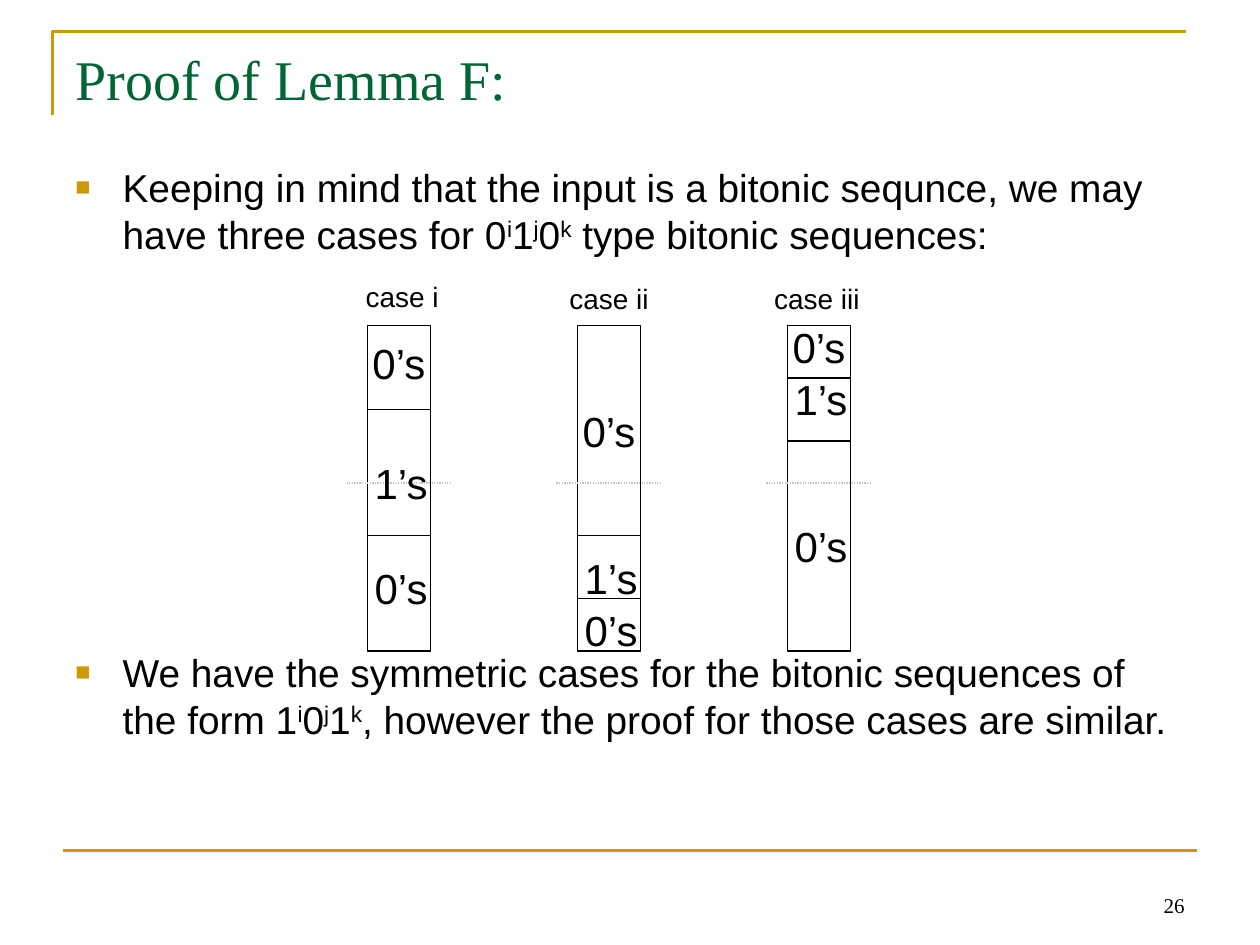
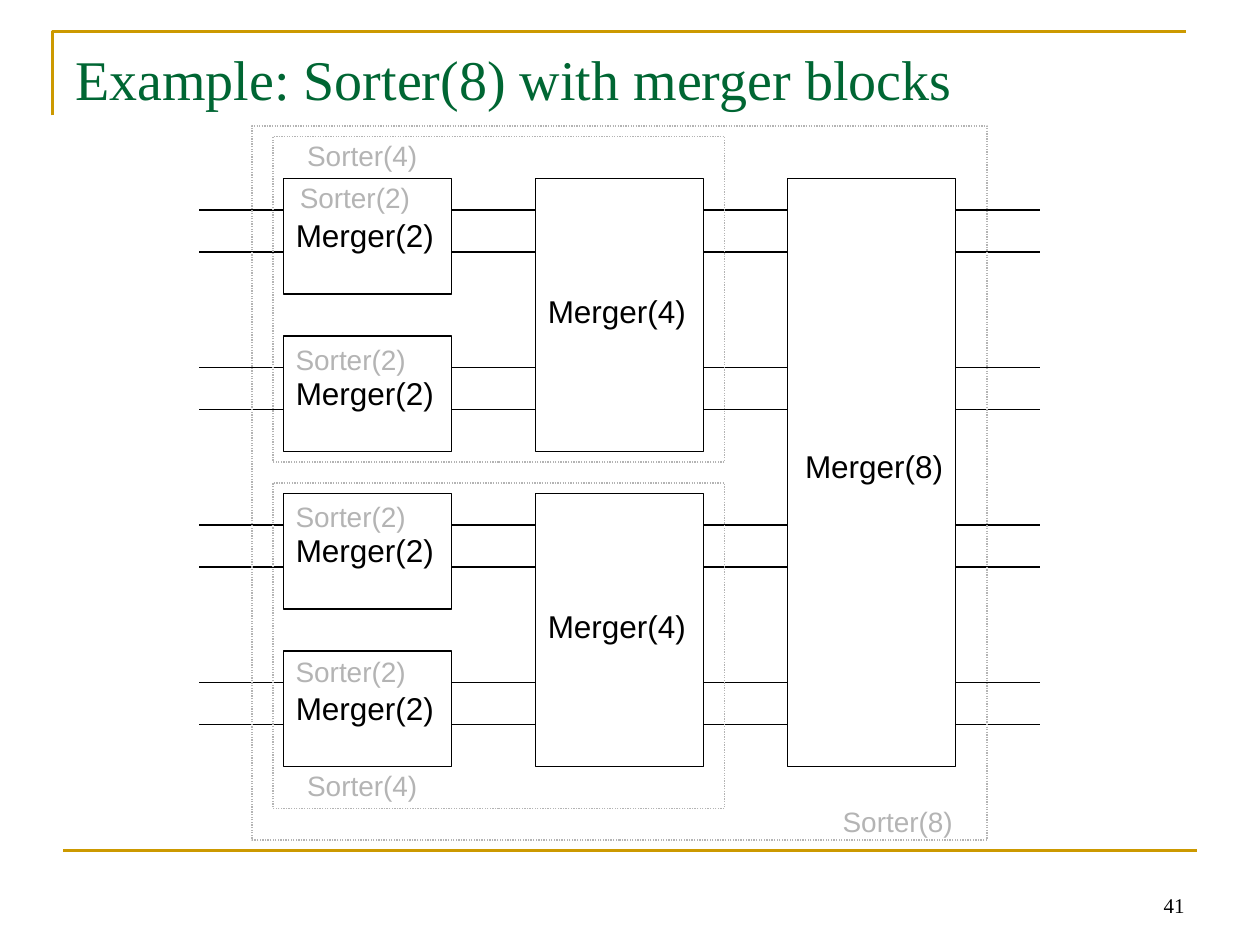
from lxml import etree
from pptx import Presentation
from pptx import util as u
from pptx.dml.color import RGBColor
from pptx.enum import dml, shapes, text
from pptx.oxml.ns import qn

PX = 7620  # EMU; 120 px to the inch
COLORS = {"gold": "CC9900", "green": "006633", "black": "000000",
          "label": "B4B4B4", "middle": "C0C0C0"}
SANS, SERIF = "Arial", "Times New Roman"

# Segments alternate between plain and raised text.
BULLETS = [
    (150, ["Keeping in mind that the input is a bitonic sequnce, we may have three cases for 0",
           "i", "1", "j", "0", "k", " type bitonic sequences:"]),
    (612, ["We have the symmetric cases for the bitonic sequences of the form 1",
           "i", "0", "j", "1", "k", ", however the proof for those cases are similar."]),
]
# name, name centre and top, divider heights, tops of the part labels
CASES = [
    ("case i", 383, 260, (390, 510), (316, 430, 530)),
    ("case ii", 580, 262, (510, 570), (380, 520, 570)),
    ("case iii", 778, 262, (360, 420), (300, 350, 490)),
]
PARTS = ("0’s", "1’s", "0’s")
BAR_LEFT, BAR_STEP, BAR_TOP, BAR_WIDTH, BAR_HEIGHT = 350, 200, 310, 60, 310
MIDDLE = 460

# inputs, block height, block step, label left offset, label top offset
MERGERS = [(2, 110, 150, 0, 30), (4, 260, 300, 0, 102), (8, 560, 600, 5, 250)]
MERGER_LEFT, MERGER_STEP, MERGER_TOP, MERGER_WIDTH = 270, 240, 170, 160
WIRE_LENGTH = MERGER_STEP - MERGER_WIDTH
WIRE_ROWS = [200 + 150 * pair + offset for pair in range(4) for offset in (0, 40)]
SORTER_BOXES = [(260, 460, 430, 310), (260, 130, 430, 310), (240, 120, 700, 680)]
SORTER_LABELS = [  # inputs, left, top
    (2, 274, 166), (2, 270, 320), (2, 270, 470), (2, 270, 617),
    (4, 281, 726), (4, 281, 126), (8, 791, 760),
]


def px(*lengths):
    return [u.Emu(length * PX) for length in lengths]


def rgb(color):
    return RGBColor.from_string(COLORS[color])


def set_font(paragraph, size, name, color):
    font = paragraph.font
    font.size, font.name = u.Pt(size), name
    font.color.rgb = rgb(color)


def set_line(shape, color, width, dotted=False):
    shape.line.color.rgb = rgb(color)
    shape.line.width = u.Pt(width)
    if dotted:
        shape.line.dash_style = dml.MSO_LINE.ROUND_DOT


def add_text(slide, box, words, size, name=SANS, color="black",
             align=text.PP_ALIGN.LEFT, anchor=text.MSO_ANCHOR.TOP):
    frame = slide.shapes.add_textbox(*px(*box)).text_frame
    frame.word_wrap, frame.vertical_anchor = True, anchor
    paragraph = frame.paragraphs[0]
    paragraph.text, paragraph.alignment = words, align
    set_font(paragraph, size, name, color)
    return frame


def add_label(slide, box, words, size, color="black"):
    """Add a centred label that stays on one line."""
    frame = add_text(slide, box, words, size, color=color, align=text.PP_ALIGN.CENTER)
    frame.word_wrap = False
    frame.margin_left = frame.margin_right = 0


def add_bullet(slide, top, segments):
    frame = slide.shapes.add_textbox(*px(60, top, 1080, 120)).text_frame
    frame.word_wrap = True
    paragraph = frame.paragraphs[0]
    properties = paragraph._p.get_or_add_pPr()
    properties.set("marL", str(45 * PX))
    properties.set("indent", str(-45 * PX))
    bullet_color = etree.SubElement(properties, qn("a:buClr"))
    etree.SubElement(bullet_color, qn("a:srgbClr"), val=COLORS["gold"])
    etree.SubElement(properties, qn("a:buSzPct"), val="65000")
    etree.SubElement(properties, qn("a:buFont"), typeface=SANS)
    etree.SubElement(properties, qn("a:buChar"), char="■")
    set_font(paragraph, 22.2, SANS, "black")
    for index, segment in enumerate(segments):
        run = paragraph.add_run()
        run.text = segment
        if index % 2:
            run.font._element.set("baseline", "30000")


def add_line(slide, start, end, color="black", width=0.75, dotted=False):
    line = slide.shapes.add_connector(shapes.MSO_CONNECTOR.STRAIGHT, *px(*start, *end))
    set_line(line, color, width, dotted)
    etree.SubElement(line._element.spPr, qn("a:effectLst"))


def add_frame(slide, box, color="black", dotted=False):
    shape = slide.shapes.add_shape(shapes.MSO_SHAPE.RECTANGLE, *px(*box))
    shape.shadow.inherit = False
    shape.fill.background()
    set_line(shape, color, 0.75, dotted)


def add_slide(presentation, title, number):
    """Add a slide with the shared corner, rule, page number and title."""
    slide = presentation.slides.add_slide(presentation.slide_layouts[6])
    builder = slide.shapes.build_freeform(50, 110, scale=PX)
    builder.add_line_segments([(50, 30), (1130, 30)], close=False)
    corner = builder.convert_to_shape()
    corner.shadow.inherit = False
    corner.fill.background()
    set_line(corner, "gold", 1.5)
    add_line(slide, (60, 810), (1140, 810), "gold", 1.5)
    add_text(slide, (860, 820, 280, 60), str(number), 12, SERIF,
             align=text.PP_ALIGN.RIGHT, anchor=text.MSO_ANCHOR.BOTTOM)
    add_text(slide, (60, 36, 1080, 150), title, 32, SERIF, "green")
    return slide


def build_proof(presentation):
    slide = add_slide(presentation, "Proof of Lemma F:", 26)
    for top, segments in BULLETS:
        add_bullet(slide, top, segments)
    for index, (name, center, name_top, dividers, part_tops) in enumerate(CASES):
        left = BAR_LEFT + BAR_STEP * index
        right = left + BAR_WIDTH
        add_frame(slide, (left, BAR_TOP, BAR_WIDTH, BAR_HEIGHT))
        add_line(slide, (left - 20, MIDDLE), (right + 20, MIDDLE), "middle", dotted=True)
        for y in dividers:
            add_line(slide, (left, y), (right, y))
        for part, (words, top) in enumerate(zip(PARTS, part_tops)):
            add_label(slide, (left - (5 if part else 7), top, 74, 60), words, 24)
        add_label(slide, (center - 50, name_top, 100, 44), name, 16)


def build_sorter(presentation):
    slide = add_slide(presentation, "Example: Sorter(8) with merger blocks", 41)
    for column, (inputs, height, step, label_x, label_y) in enumerate(MERGERS):
        left = MERGER_LEFT + MERGER_STEP * column
        for block in range(8 // inputs):
            top = MERGER_TOP + step * block
            add_label(slide, (left + label_x, top + label_y, 155, 48), f"Merger({inputs})", 18)
            add_frame(slide, (left, top, MERGER_WIDTH, height))
    for gap in range(len(MERGERS) + 1):
        end = MERGER_LEFT + MERGER_STEP * gap
        for y in WIRE_ROWS:
            add_line(slide, (end - WIRE_LENGTH, y), (end, y))
    for box in SORTER_BOXES:
        add_frame(slide, box, "label", dotted=True)
    for inputs, left, top in SORTER_LABELS:
        add_label(slide, (left, top, 128, 44), f"Sorter({inputs})", 16, "label")


def main():
    presentation = Presentation()
    presentation.slide_width, presentation.slide_height = px(1200, 900)
    build_proof(presentation)
    build_sorter(presentation)
    presentation.save("out.pptx")


if __name__ == "__main__":
    main()
